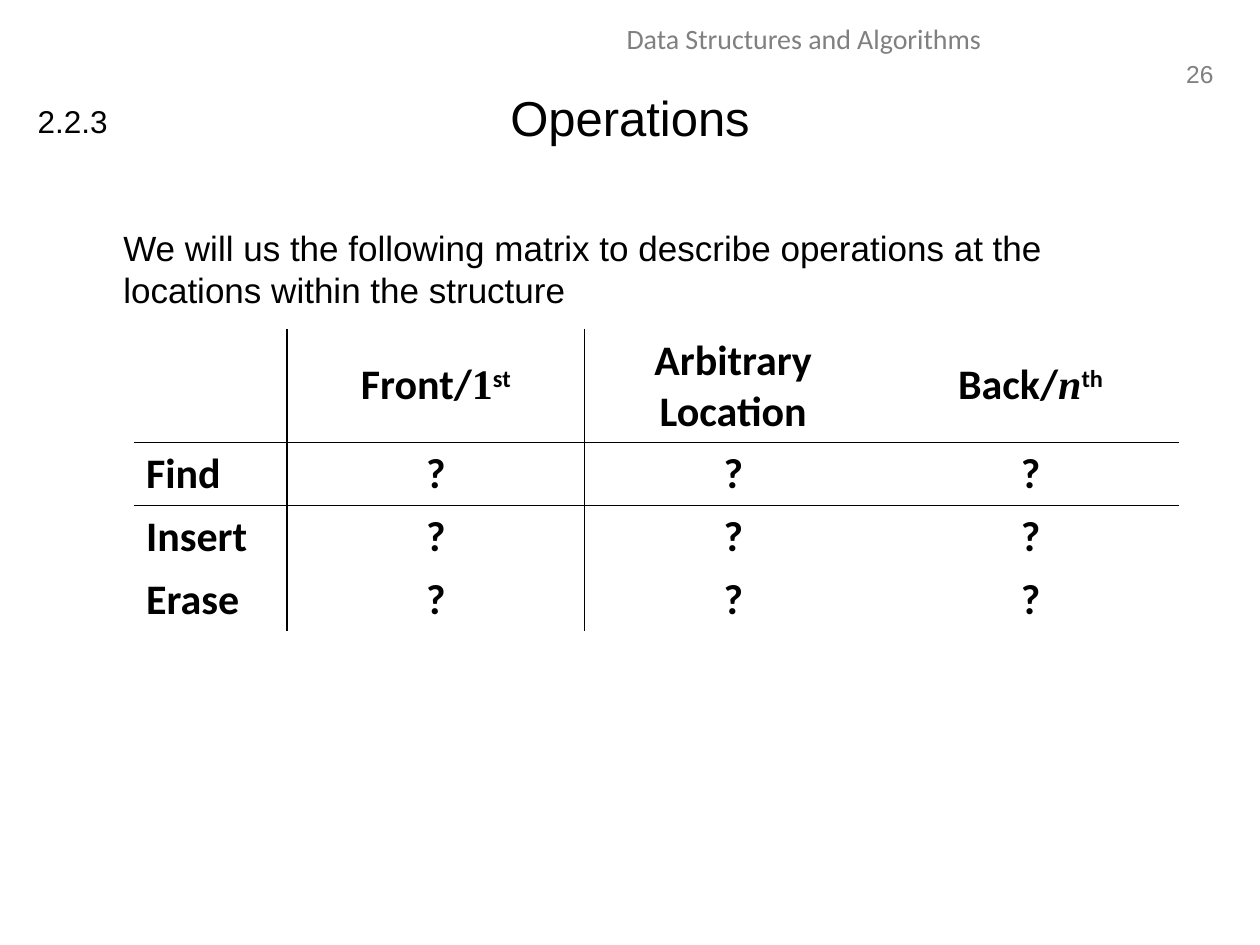
from lxml.etree import SubElement
from pptx import Presentation
from pptx.dml.color import RGBColor
from pptx.enum.text import MSO_ANCHOR as Anchor, PP_ALIGN as Align
from pptx.oxml.ns import qn
from pptx.util import Inches, Pt

BLACK = RGBColor(0, 0, 0)
GRAY = RGBColor(0x80, 0x80, 0x80)
NO_GRID_STYLE = "{2D5ABB26-0587-4C30-8999-92F81FD0307C}"

# text, (left, top, width, height), alignment, anchor, wrap, font
TEXTS = [
    ("26", (9.29, 0.42, 0.44, 0.33), Align.RIGHT, Anchor.TOP, False,
     {"name": "Arial", "size": Pt(14), "color": GRAY}),
    ("Data Structures and Algorithms", (3.19, 0.12, 6.38, 0.4),
     Align.CENTER, Anchor.TOP, True,
     {"name": "Calibri", "size": Pt(16), "color": GRAY}),
    ("Operations", (0.5, 0.3, 9, 1.25), Align.CENTER, Anchor.MIDDLE, True,
     {"name": "Arial", "size": Pt(28), "color": BLACK}),
    ("We will us the following matrix to describe operations at the "
     "locations within the structure", (0.88, 1.75, 8.62, 4.95),
     Align.LEFT, Anchor.TOP, True,
     {"name": "Arial", "size": Pt(20), "color": BLACK}),
    ("2.2.3", (0.2, 0.76, 0.76, 0.4), Align.LEFT, Anchor.TOP, False,
     {"name": "Arial", "size": Pt(18), "color": BLACK}),
]

CELL_FONT = {"name": "Calibri", "size": Pt(24), "bold": True, "color": BLACK}
DIGIT = {"name": "Times New Roman"}
VARIABLE = {"name": "Times New Roman", "italic": True}
RAISED = {"baseline": "30000"}

# Each header is a list of paragraphs, each paragraph a list of (text, format)
HEADERS = [
    [],
    [[("Front/", {}), ("1", DIGIT), ("st", RAISED)]],
    [[("Arbitrary", {})], [("Location", {})]],
    [[("Back/", {}), ("n", VARIABLE), ("th", RAISED)]],
]
OPERATIONS = ["Find", "Insert", "Erase"]
ROWS = [HEADERS] + [
    [[[(name, {})]]] + [[[("?", {})]]] * 3 for name in OPERATIONS
]
TABLE_LEFT, TABLE_TOP = 1.06, 2.61
COLUMN_WIDTHS = [1.22, 2.36, 2.36, 2.36]
ROW_HEIGHTS = [0.86, 0.5, 0.5, 0.5]
RULED_COLUMNS = {0, 1}  # a line on the right of these
RULED_ROWS = {0, 1}     # a line below these


def format_font(font, values):
    for key, value in values.items():
        if key == "color":
            font.color.rgb = value
        elif key != "baseline":
            setattr(font, key, value)


def add_text(slide, text, box, alignment, anchor, wrap, font):
    frame = slide.shapes.add_textbox(*map(Inches, box)).text_frame
    frame.word_wrap = wrap
    frame.vertical_anchor = anchor
    paragraph = frame.paragraphs[0]
    paragraph.alignment = alignment
    run = paragraph.add_run()
    run.text = text
    format_font(run.font, font)


def set_borders(cell, sides):
    """Draw the cell lines named in sides, and clear the others."""
    properties = cell._tc.get_or_add_tcPr()
    for side in "LRTB":
        line = SubElement(properties, qn(f"a:ln{side}"), w=str(Pt(1)))
        if side in sides:
            fill = SubElement(line, qn("a:solidFill"))
            SubElement(fill, qn("a:srgbClr"), val=str(BLACK))
        else:
            SubElement(line, qn("a:noFill"))


def fill_cell(cell, paragraphs, alignment):
    frame = cell.text_frame
    for index, runs in enumerate(paragraphs):
        paragraph = frame.add_paragraph() if index else frame.paragraphs[0]
        paragraph.alignment = alignment
        for text, extra in runs:
            run = paragraph.add_run()
            run.text = text
            format_font(run.font, {**CELL_FONT, **extra})
            if "baseline" in extra:
                run.font._element.set("baseline", extra["baseline"])


def add_operations_table(slide):
    size = sum(COLUMN_WIDTHS), sum(ROW_HEIGHTS)
    table = slide.shapes.add_table(
        len(ROWS), len(COLUMN_WIDTHS),
        *map(Inches, (TABLE_LEFT, TABLE_TOP, *size))).table
    table._tbl.tblPr.find(qn("a:tableStyleId")).text = NO_GRID_STYLE
    table.horz_banding = False
    for column, width in zip(table.columns, COLUMN_WIDTHS):
        column.width = Inches(width)
    for row, height in zip(table.rows, ROW_HEIGHTS):
        row.height = Inches(height)
    for r, row in enumerate(ROWS):
        for c, paragraphs in enumerate(row):
            cell = table.cell(r, c)
            edges = {"L": c - 1 in RULED_COLUMNS, "R": c in RULED_COLUMNS,
                     "T": r - 1 in RULED_ROWS, "B": r in RULED_ROWS}
            set_borders(cell, [side for side, ruled in edges.items() if ruled])
            cell.fill.background()
            cell.vertical_anchor = Anchor.TOP if r else Anchor.MIDDLE
            fill_cell(cell, paragraphs, Align.CENTER if c else Align.LEFT)


def main():
    presentation = Presentation()
    presentation.slide_width = Inches(10)
    presentation.slide_height = Inches(7.5)
    slide = presentation.slides.add_slide(presentation.slide_layouts[6])
    for item in TEXTS:
        add_text(slide, *item)
    add_operations_table(slide)
    presentation.save("out.pptx")


if __name__ == "__main__":
    main()
